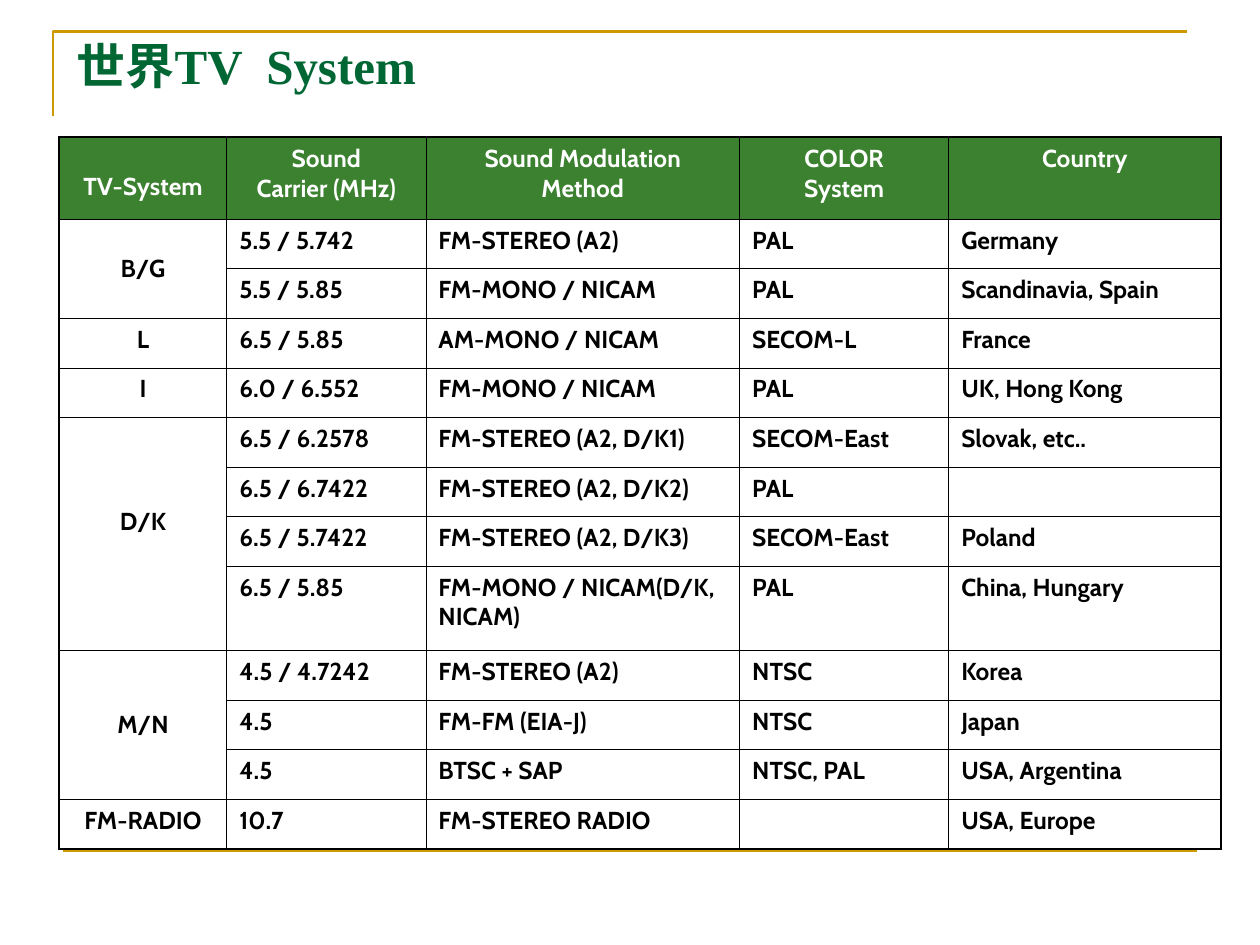
"""Build a slide that tables the world's TV systems."""
import dataclasses

import lxml.etree
import pptx
import pptx.dml.color
import pptx.enum.shapes
import pptx.enum.text
import pptx.oxml.ns
import pptx.util

COLORS = {"gold": "CC9900", "title": "006633", "head": "3B812F",
          "white": "FFFFFF", "black": "000000"}
WIDE, TALL = pptx.util.Inches(10), pptx.util.Inches(7.5)
COLS = (1.33, 1.58, 2.49, 1.66, 2.16)
LEFT, TOP, WIDTH, HEIGHT = 4.7, 14.53, 92.2, 75.33
HEAD, DEEP = 8.67, 8.93
HEADS = ("TV-System", "Sound\vCarrier (MHz)", "Sound Modulation\vMethod",
         "COLOR\vSystem", "Country")


@dataclasses.dataclass
class Group:
    """A TV system with its rows and the extra margin below its name."""
    name: str
    rows: list[tuple[str, str, str, str]]
    lift: float = 0


GROUPS = [
    Group("B/G", [
        ("5.5 / 5.742", "FM-STEREO (A2)", "PAL", "Germany"),
        ("5.5 / 5.85", "FM-MONO / NICAM", "PAL", "Scandinavia, Spain")]),
    Group("L", [("6.5 / 5.85", "AM-MONO / NICAM", "SECOM-L", "France")]),
    Group("I", [("6.0 / 6.552", "FM-MONO / NICAM", "PAL", "UK, Hong Kong")]),
    Group("D/K", [
        ("6.5 / 6.2578", "FM-STEREO (A2, D/K1)", "SECOM-East", "Slovak, etc.."),
        ("6.5 / 6.7422", "FM-STEREO (A2, D/K2)", "PAL", ""),
        ("6.5 / 5.7422", "FM-STEREO (A2, D/K3)", "SECOM-East", "Poland"),
        ("6.5 / 5.85", "FM-MONO / NICAM(D/K, NICAM)", "PAL", "China, Hungary")],
        lift=2.67),
    Group("M/N", [
        ("4.5 / 4.7242", "FM-STEREO (A2)", "NTSC", "Korea"),
        ("4.5", "FM-FM (EIA-J)", "NTSC", "Japan"),
        ("4.5", "BTSC + SAP", "NTSC, PAL", "USA, Argentina")]),
    Group("FM-RADIO", [("10.7", "FM-STEREO RADIO", "", "USA, Europe")]),
]


def across(share: float) -> int:
    """Turn a percentage of the slide's width into a length."""
    return int(WIDE * share / 100)


def down(share: float) -> int:
    """Turn a percentage of the slide's height into a length."""
    return int(TALL * share / 100)


def tint(name: str) -> pptx.dml.color.RGBColor:
    """Look up a colour by name."""
    return pptx.dml.color.RGBColor.from_string(COLORS[name])


def style(frame, font: str, size: float, color: str) -> None:
    """Format every run of a text frame in bold."""
    for para in frame.paragraphs:
        for run in para.runs:
            run.font.name = font
            run.font.size = pptx.util.Pt(size)
            run.font.bold = True
            run.font.color.rgb = tint(color)


def stroke(shape) -> None:
    """Give a rule its gold line."""
    shape.line.color.rgb = tint("gold")
    shape.line.width = pptx.util.Pt(1.5)


def frame_page(slide) -> None:
    """Draw the corner rule and the foot rule."""
    pen = slide.shapes.build_freeform(across(4.2), down(12.27))
    pen.add_line_segments([(across(4.2), down(3.33)),
                           (across(94.2), down(3.33))], close=False)
    corner = pen.convert_to_shape()
    corner.shadow.inherit = False
    corner.fill.background()
    stroke(corner)
    foot = slide.shapes.add_connector(
        pptx.enum.shapes.MSO_CONNECTOR.STRAIGHT,
        across(5), down(90), across(95), down(90))
    lxml.etree.SubElement(foot._element.spPr, pptx.oxml.ns.qn("a:effectLst"))
    stroke(foot)


def add_title(slide) -> None:
    """Place and format the title."""
    title = slide.shapes.title
    title.left, title.top = across(5.1), down(3.07)
    title.width, title.height = across(83.9), down(11.47)
    frame = title.text_frame
    frame.text = "世界TV  System"
    frame.word_wrap = True
    frame.vertical_anchor = pptx.enum.text.MSO_ANCHOR.TOP
    frame.paragraphs[0].alignment = pptx.enum.text.PP_ALIGN.LEFT
    style(frame, "Times New Roman", 28, "title")


def edge(cell, sides: dict[str, bool]) -> None:
    """Border a cell, with heavy lines on the table's outer sides."""
    props = cell._tc.get_or_add_tcPr()
    for spot, (side, outer) in enumerate(sides.items()):
        line = lxml.etree.Element(pptx.oxml.ns.qn(f"a:ln{side}"))
        line.set("w", str(pptx.util.Pt(1.08 if outer else 0.45)))
        fill = lxml.etree.SubElement(line, pptx.oxml.ns.qn("a:solidFill"))
        lxml.etree.SubElement(fill, pptx.oxml.ns.qn("a:srgbClr"),
                              val=COLORS["black"])
        props.insert(spot, line)


def put(cell, text: str, head: bool, center: bool) -> None:
    """Fill a cell and set its text."""
    cell.fill.solid()
    cell.fill.fore_color.rgb = tint("head" if head else "white")
    if not text:
        cell.margin_top = cell.margin_bottom = 0
        return
    cell.text_frame.text = text
    if center:
        cell.text_frame.paragraphs[0].alignment = pptx.enum.text.PP_ALIGN.CENTER
    style(cell.text_frame, "Cabin", 14, "white" if head else "black")


def add_table(slide) -> None:
    """Draw the table of systems."""
    rows = [HEADS]
    for group in GROUPS:
        for place, row in enumerate(group.rows):
            rows.append(("" if place else group.name, *row))
    table = slide.shapes.add_table(len(rows), len(COLS), across(LEFT), down(TOP),
                                   across(WIDTH), down(HEIGHT)).table
    table.first_row = table.horz_banding = False
    for col, share in zip(table.columns, COLS):
        col.width = across(WIDTH * share / sum(COLS))
    plain = (HEIGHT - HEAD - DEEP) / (len(rows) - 2)
    last = len(rows) - 1
    for y, row in enumerate(rows):
        deep = "FM-MONO / NICAM(D/K, NICAM)" in row
        table.rows[y].height = down(HEAD if y == 0 else DEEP if deep else plain)
        for x, text in enumerate(row):
            cell = table.cell(y, x)
            put(cell, text, y == 0, y == 0 or x == 0)
            edge(cell, {"L": x == 0, "R": x == len(COLS) - 1,
                        "T": y == 0, "B": y == last})
    table.cell(0, 0).margin_top = down(3.6)
    start = 1
    for group in GROUPS:
        count = len(group.rows)
        if count > 1:
            cell = table.cell(start, 0)
            cell.merge(table.cell(start + count - 1, 0))
            cell.vertical_anchor = pptx.enum.text.MSO_ANCHOR.MIDDLE
            cell.margin_bottom = down(0.67 + group.lift)
        start += count


def main() -> None:
    """Build and save the slide."""
    deck = pptx.Presentation()
    deck.slide_width, deck.slide_height = WIDE, TALL
    slide = deck.slides.add_slide(deck.slide_layouts[5])
    frame_page(slide)
    add_title(slide)
    add_table(slide)
    deck.save("out.pptx")


if __name__ == "__main__":
    main()
